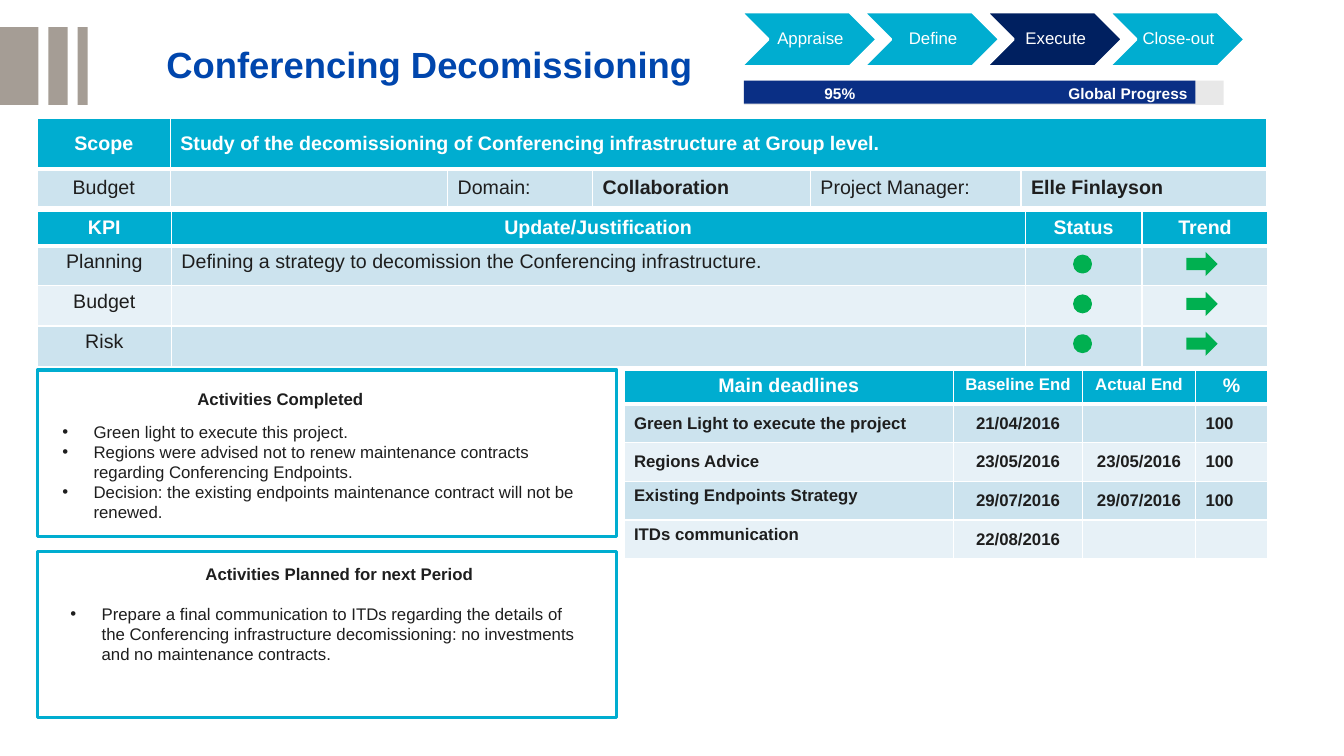
from dataclasses import dataclass
from typing import Optional

from lxml.etree import SubElement
from pptx import Presentation
from pptx.dml.color import RGBColor
from pptx.enum.shapes import MSO_SHAPE
from pptx.enum.text import MSO_ANCHOR, PP_ALIGN
from pptx.oxml.ns import qn
from pptx.util import Emu, Inches, Pt

TEAL = RGBColor(0x00, 0xAD, 0xD0)
PALE = RGBColor(0xCC, 0xE3, 0xEE)
MIST = RGBColor(0xE7, 0xF1, 0xF7)
WHITE = RGBColor(0xFF, 0xFF, 0xFF)
INK = RGBColor(0x1E, 0x1E, 0x1E)
BLUE = RGBColor(0x00, 0x46, 0xAD)
NAVY = RGBColor(0x00, 0x20, 0x60)
BAR = RGBColor(0x0A, 0x2F, 0x85)
GREY = RGBColor(0xE8, 0xE8, 0xE8)
TAUPE = RGBColor(0xA5, 0x9D, 0x95)
GREEN = RGBColor(0x00, 0xB0, 0x50)
FONT = "Arial"
UNIT = Inches(0.1)
COLS, ROWS = 133.33, 75
MID, TOP = MSO_ANCHOR.MIDDLE, MSO_ANCHOR.TOP


@dataclass
class Box:
    col: float
    row: float
    wide: float
    high: float

    def emu(self) -> list[Emu]:
        return [span(n) for n in (self.col, self.row, self.wide, self.high)]


@dataclass
class Cell:
    text: str = ""
    bold: bool = False
    center: bool = False
    size: int = 14
    anchor: MSO_ANCHOR = MID


@dataclass
class Grid:
    box: Box
    cols: list[float]
    rows: list[float]
    cells: list[list[Cell]]


@dataclass
class Panel:
    box: Box
    head: Box
    title: str
    body: Box
    items: list[str]


def span(n: float) -> Emu:
    return Emu(round(n * UNIT))


def write(para, text: str, size: float, ink: RGBColor, bold: bool = False) -> None:
    run = para.add_run()
    run.text = text
    run.font.name, run.font.size, run.font.bold = FONT, Pt(size), bold
    run.font.color.rgb = ink


def shape(kind: MSO_SHAPE, box: Box, fill: RGBColor,
          line: Optional[RGBColor] = None, width: float = 2):
    form = deck.shapes.add_shape(kind, *box.emu())
    form.shadow.inherit = False
    form.fill.solid()
    form.fill.fore_color.rgb = fill
    if line is None:
        form.line.fill.background()
    else:
        form.line.color.rgb = line
        form.line.width = Pt(width)
    return form


def frame(box: Box):
    text = deck.shapes.add_textbox(*box.emu()).text_frame
    text.word_wrap = True
    return text


def label(box: Box, text: str, size: float, ink: RGBColor) -> None:
    write(frame(box).paragraphs[0], text, size, ink, True)


def bullets(box: Box, items: list[str]) -> None:
    body = frame(box)
    for i, item in enumerate(items):
        para = body.add_paragraph() if i else body.paragraphs[0]
        props = para._p.get_or_add_pPr()
        props.set("marL", str(span(3.1)))
        props.set("indent", str(span(-3.1)))
        SubElement(props, qn("a:buFont"), typeface=FONT)
        SubElement(props, qn("a:buChar"), char="•")
        write(para, item, 12, INK)


def edges(cell, head: bool) -> None:
    props = cell._tc.get_or_add_tcPr()
    for i, side in enumerate(("lnL", "lnR", "lnT", "lnB")):
        width = Pt(3) if head and side == "lnB" else Pt(1)
        line = SubElement(props, qn("a:" + side), w=str(width))
        fill = SubElement(line, qn("a:solidFill"))
        SubElement(fill, qn("a:srgbClr"), val=str(WHITE))
        props.remove(line)
        props.insert(i, line)


def table(grid: Grid):
    tab = deck.shapes.add_table(len(grid.rows), len(grid.cols), *grid.box.emu()).table
    tab.first_row = tab.horz_banding = False
    for col, wide in zip(tab.columns, grid.cols):
        col.width = span(wide)
    for r, line in enumerate(grid.cells):
        tab.rows[r].height = span(grid.rows[r])
        for c, item in enumerate(line):
            cell = tab.cell(r, c)
            cell.fill.solid()
            cell.fill.fore_color.rgb = TEAL if r == 0 else PALE if r % 2 else MIST
            cell.vertical_anchor = item.anchor
            edges(cell, r == 0)
            para = cell.text_frame.paragraphs[0]
            if item.text:
                para.alignment = PP_ALIGN.CENTER if item.center else PP_ALIGN.LEFT
                write(para, item.text, item.size, INK if r else WHITE, item.bold)
            else:
                SubElement(para._p, qn("a:endParaRPr"), sz="1200")
    return tab


def head(text: str, size: int = 14) -> Cell:
    return Cell(text, True, True, size, TOP)


def kpi(name: str, note: str = "") -> list[Cell]:
    return [Cell(name, center=True, anchor=TOP), Cell(note, anchor=TOP), Cell(), Cell()]


def goal(name: str, plan: str, real: str = "", done: str = "",
         anchor: MSO_ANCHOR = MID) -> list[Cell]:
    return [Cell(name, True, size=12, anchor=anchor), Cell(plan, True, True, 12),
            Cell(real, True, True, 12), Cell(done, True, size=12)]


show = Presentation()
show.slide_width, show.slide_height = span(COLS), span(ROWS)
deck = show.slides.add_slide(show.slide_layouts[6])

for left, wide in ((0, 3.8), (4.8, 1.9), (7.7, 1)):
    shape(MSO_SHAPE.RECTANGLE, Box(left, 2.7, wide, 7.7), TAUPE)

title = frame(Box(16.5, 2.8, 113.6, 7.6))
title.margin_left = title.margin_right = title.margin_top = title.margin_bottom = 0
title.vertical_anchor = MID
title.paragraphs[0].line_spacing = 0.9
write(title.paragraphs[0], "Conferencing Decomissioning", 26, BLUE, True)

scope = table(Grid(
    Box(3.7, 11.7, 122.1, 8.8), [13.2, 27.5, 14.4, 21.6, 20.9, 24.4], [5.1, 3.7],
    [[Cell("Scope", True, True),
      Cell("Study of the decomissioning of Conferencing infrastructure at Group level.", True),
      *[Cell() for _ in range(4)]],
     [Cell("Budget", center=True), Cell(), Cell("Domain:"), Cell("Collaboration", True),
      Cell("Project Manager:"), Cell("Elle Finlayson", True)]]))
scope.cell(0, 1).merge(scope.cell(0, 5))

shape(MSO_SHAPE.RECTANGLE, Box(73.8, 8, 47.6, 2.4), GREY)
shape(MSO_SHAPE.RECTANGLE, Box(73.8, 8, 44.8, 2.3), BAR)
label(Box(80.8, 7.85, 7.5, 2.9), "95%", 11, WHITE)
label(Box(105, 7.85, 14.4, 2.9), "Global Progress", 11, WHITE)

table(Grid(
    Box(3.7, 21, 122.1, 15.4), [13.3, 84.7, 11.6, 12.5], [3.4, 3.9, 4.05, 4.05],
    [[head(t) for t in ("KPI", "Update/Justification", "Status", "Trend")],
     kpi("Planning", "Defining a strategy to decomission the Conferencing infrastructure."),
     kpi("Budget"), kpi("Risk")]))

PANELS = [
    Panel(Box(3.7, 36.7, 57.5, 16.5), Box(18.6, 38.1, 26.8, 3), "Activities Completed",
          Box(5.2, 41.3, 53.5, 11.1),
          ["Green light to execute this project.",
           "Regions were advised not to renew maintenance contracts regarding "
           "Conferencing Endpoints.",
           "Decision: the existing endpoints maintenance contract will not be renewed."]),
    Panel(Box(3.7, 54.7, 57.5, 16.5), Box(19.4, 55.4, 30.7, 3),
          "Activities Planned for next Period", Box(6, 59.4, 53.5, 7.1),
          ["Prepare a final communication to ITDs regarding the details of the Conferencing "
           "infrastructure decomissioning: no investments and no maintenance contracts."]),
]
for panel in PANELS:
    shape(MSO_SHAPE.RECTANGLE, panel.box, WHITE, TEAL, 2.25)
    label(panel.head, panel.title, 12, INK)
    bullets(panel.body, panel.items)

table(Grid(
    Box(61.9, 36.7, 63.9, 18.7), [32.7, 12.8, 11.2, 7.2], [3.4] + [3.83] * 4,
    [[head("Main deadlines"), head("Baseline End", 12), head("Actual End", 12), head("%")],
     goal("Green Light to execute the project", "21/04/2016", done="100"),
     goal("Regions Advice", "23/05/2016", "23/05/2016", "100"),
     goal("Existing Endpoints Strategy", "29/07/2016", "29/07/2016", "100", TOP),
     goal("ITDs communication", "22/08/2016", anchor=TOP)]))

for i in range(3):
    drop = i * 3.95
    shape(MSO_SHAPE.OVAL, Box(106.6, 25.4 + drop, 1.6, 1.6), GREEN, GREEN)
    shape(MSO_SHAPE.RIGHT_ARROW, Box(117.7, 25 + drop, 3.1, 2.4), GREEN)

for i, phase in enumerate(("Appraise", "Define", "Execute", "Close-out")):
    fill = NAVY if phase == "Execute" else TEAL
    step = shape(MSO_SHAPE.CHEVRON, Box(73.5 + i * 12.17, 1.2, 13.5, 5.4), fill, WHITE)
    text = step.text_frame
    text.margin_left = span(0.5)
    text.margin_right = text.margin_top = text.margin_bottom = span(0.2)
    text.vertical_anchor = MID
    para = text.paragraphs[0]
    para.alignment, para.line_spacing = PP_ALIGN.CENTER, 0.9
    write(para, phase, 12, WHITE)

show.save("out.pptx")
